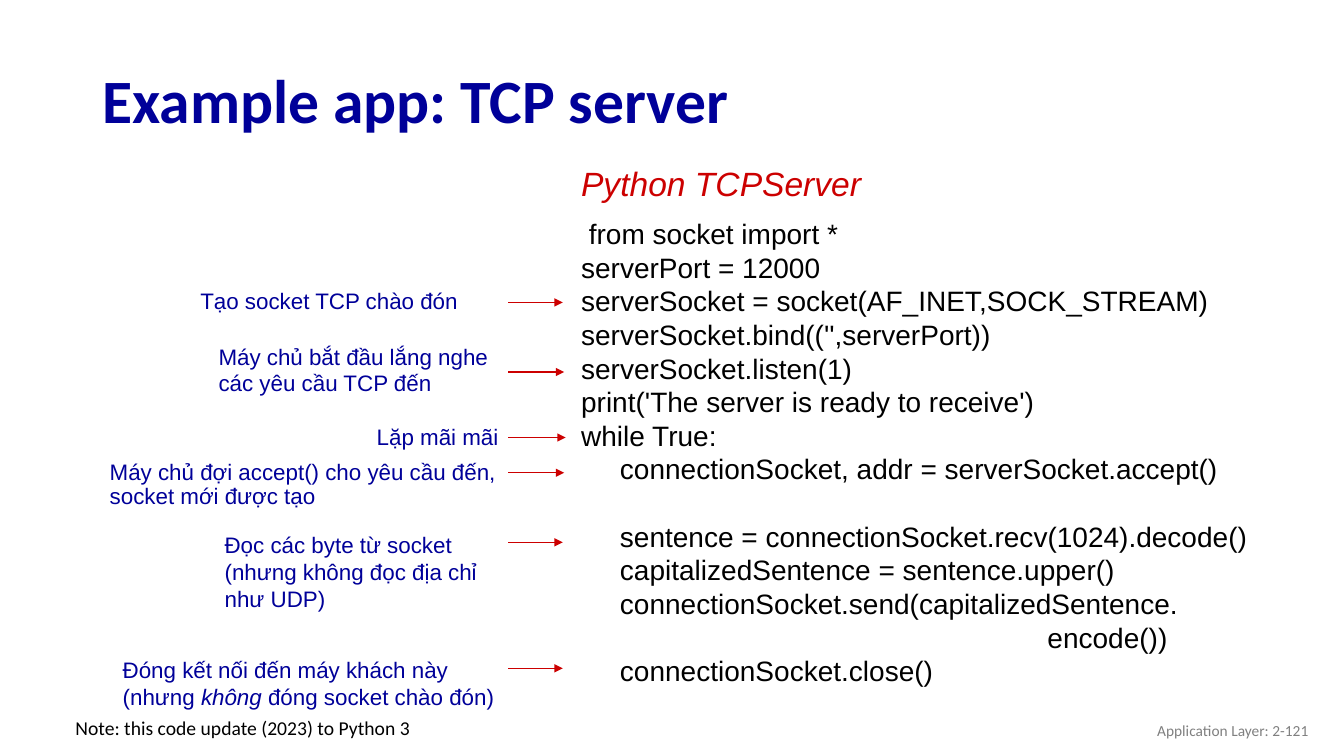
from pptx import Presentation
from pptx.dml.color import RGBColor
from pptx.enum.shapes import MSO_CONNECTOR
from pptx.enum.text import MSO_ANCHOR, PP_ALIGN
from pptx.oxml.ns import qn
from pptx.util import Pt
from lxml.etree import SubElement

NAVY = RGBColor(0x00, 0x00, 0x99)
RED = RGBColor(0xCC, 0x00, 0x00)
BLACK = RGBColor(0x00, 0x00, 0x00)
GRAY = RGBColor(0x80, 0x80, 0x80)

ARROW_LEFT = 363

CODE = [
    " from socket import *",
    "serverPort = 12000",
    "serverSocket = socket(AF_INET,SOCK_STREAM)",
    "serverSocket.bind(('',serverPort))",
    "serverSocket.listen(1)",
    "print('The server is ready to receive')",
    "while True:",
    "     connectionSocket, addr = serverSocket.accept()",
    "     sentence = connectionSocket.recv(1024).decode()",
    "     capitalizedSentence = sentence.upper()",
    "     connectionSocket.send(capitalizedSentence.",
    "                                                            encode())",
    "     connectionSocket.close()",
]
READ_LINE = 8

NOTES = [
    (["Tạo socket TCP chào đón"], (136, 201.6, 241, 26.6), 1, (402, 216)),
    (["Máy chủ bắt đầu lắng nghe các yêu cầu TCP đến"],
     (149, 241.2, 226, 46), 1, (403, 265.7)),
    (["Lặp mãi mãi"], (262, 301, 146, 24.5), 0.89, (404, 312.5)),
    (["Máy chủ đợi accept() cho yêu cầu đến, socket mới được tạo"],
     (71.3, 326.2, 336, 41.8), 0.89, (403, 337.7)),
    (["Đọc các byte từ socket (nhưng không đọc địa chỉ như UDP)"],
     (153.4, 375.8, 216, 65.5), 1, (402, 387.4)),
    (["Đóng kết nối đến máy khách này", "(nhưng không đóng socket chào đón)"],
     (80.6, 465, 307.4, 46), 1, (402, 477.4)),
]


def add_text(slide, lines, place, size, color, face="Arial", wrap=True):
    box = slide.shapes.add_textbox(*map(Pt, place))
    frame = box.text_frame
    frame.word_wrap = wrap
    frame.text = "\n".join(lines)
    for para in frame.paragraphs:
        for run in para.runs:
            font = run.font
            font.name = face
            font.size = Pt(size)
            font.color.rgb = color
    return frame


def add_arrow(slide, tip, top):
    line = slide.shapes.add_connector(
        MSO_CONNECTOR.STRAIGHT, Pt(ARROW_LEFT), Pt(top), Pt(tip), Pt(top))
    line.line.color.rgb = RED
    line.line.width = Pt(1)
    SubElement(line.line._get_or_add_ln(), qn("a:tailEnd"), type="triangle")
    SubElement(line._element.spPr, qn("a:effectLst"))


def add_note(slide, lines, place, gap, end):
    frame = add_text(slide, lines, place, 16, NAVY)
    for para in frame.paragraphs:
        para.line_spacing = gap
    add_arrow(slide, *end)
    return frame


def stress(para, word):
    font = para.runs[0].font
    size, face, color = font.size, font.name, font.color.rgb
    head, tail = para.text.split(word)
    para.text = head
    for part in (word, tail):
        para.add_run().text = part
    for run in para.runs:
        run.font.size, run.font.name = size, face
        run.font.color.rgb = color
        run.font.italic = run.text == word


def main():
    deck = Presentation()
    deck.slide_width, deck.slide_height = Pt(960), Pt(540)
    slide = deck.slides.add_slide(deck.slide_layouts[6])

    title = add_text(slide, ["Example app: TCP server"],
                     (66, 35.5, 828, 70.5), 44, NAVY, "Calibri")
    title.vertical_anchor = MSO_ANCHOR.MIDDLE
    title.paragraphs[0].runs[0].font.bold = True

    code = add_text(slide, CODE, (408, 151.2, 494, 346.3), 20, BLACK, wrap=False)
    code.paragraphs[READ_LINE].space_before = Pt(24)
    head = add_text(slide, ["Python TCPServer"],
                    (408, 113, 222.5, 36.7), 24, RED, wrap=False)
    head.paragraphs[0].runs[0].font.italic = True

    for note in NOTES:
        frame = add_note(slide, *note)
    stress(frame.paragraphs[-1], "không")

    foot = add_text(slide, ["Application Layer: 2-121"],
                    (725.8, 507.6, 216, 28.8), 11, GRAY, "Calibri")
    foot.vertical_anchor = MSO_ANCHOR.MIDDLE
    foot.paragraphs[0].alignment = PP_ALIGN.RIGHT
    add_text(slide, ["Note: this code update (2023) to Python 3"],
             (46.8, 507.6, 256.3, 24.5), 14, BLACK, "Calibri", wrap=False)

    deck.save("out.pptx")


if __name__ == "__main__":
    main()
